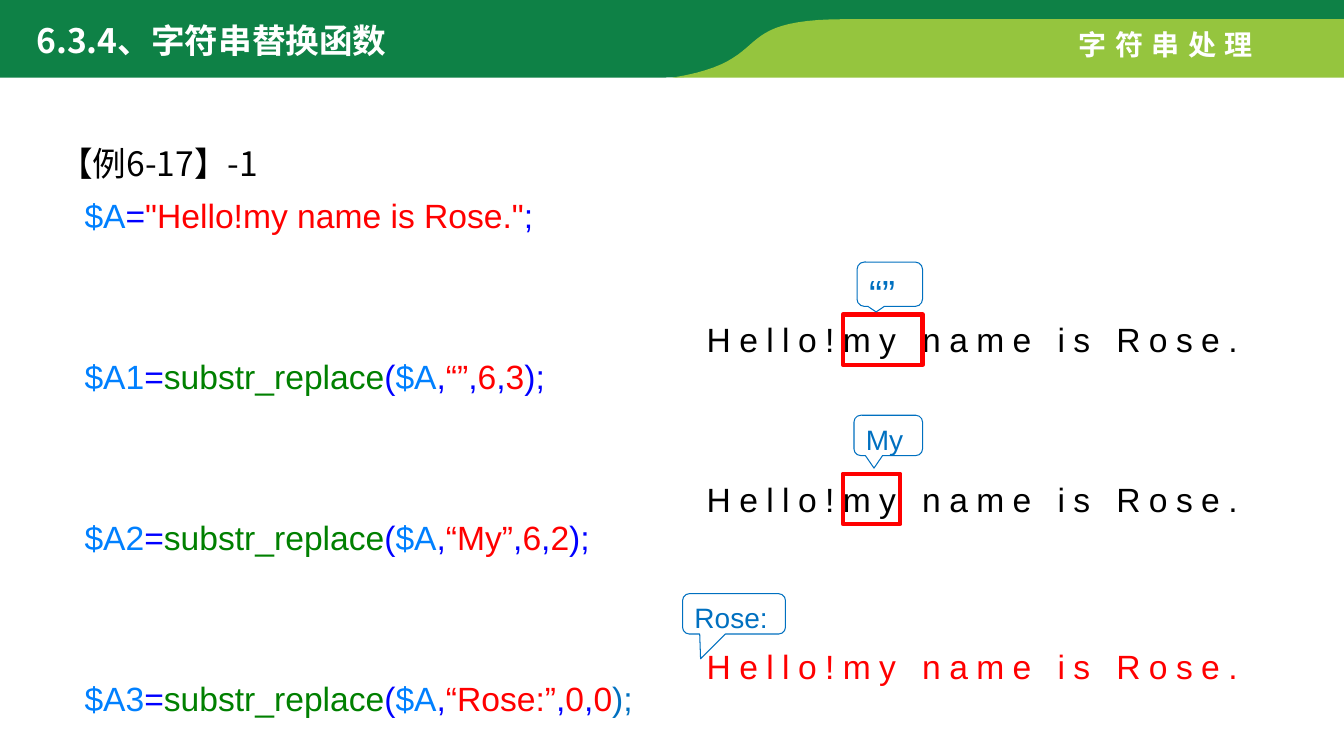
import pptx
import pptx.util
import pptx.dml.color
import pptx.enum.shapes
import pptx.enum.text
import pptx.oxml.ns
from lxml import etree

PX = 9144  # 100 px to the inch
SANS = "Arial"
HAN = "Noto Sans CJK SC"
HUES = {
    "white": "FFFFFF", "black": "000000", "dark": "0E8146", "lime": "95C53E",
    "var": "0080FF", "sign": "0000FF", "value": "FF0000", "func": "008000",
    "note": "0070C0",
}
KINDS = pptx.enum.shapes.MSO_SHAPE
ALIGN = pptx.enum.text.PP_ALIGN
LEFT, JUST = ALIGN.LEFT, ALIGN.JUSTIFY


def color(name):
    return pptx.dml.color.RGBColor.from_string(HUES[name])


def emu(*sizes):
    return [size * PX for size in sizes]


def style(run, size, hue, font=SANS, bold=False, gap=0):
    run.font.size = pptx.util.Pt(size)
    run.font.name = font
    run.font.bold = bold
    run.font.color.rgb = color(hue)
    # Letter spacing and East Asian font
    props = run._r.get_or_add_rPr()
    if gap:
        props.set("spc", str(gap * 100))
    latin = props.find(pptx.oxml.ns.qn("a:latin"))
    latin.addnext(etree.Element(pptx.oxml.ns.qn("a:ea"), typeface=HAN))


def write(shape, text, size, hue, wrap=True, align=LEFT, **looks):
    frame = shape.text_frame
    frame.text = text
    frame.word_wrap = wrap
    frame.auto_size = pptx.enum.text.MSO_AUTO_SIZE.NONE
    frame.vertical_anchor = pptx.enum.text.MSO_ANCHOR.TOP
    para = frame.paragraphs[0]
    para.alignment = align
    style(para.runs[0], size, hue, **looks)
    return para


def label(slide, box, text, size, hue, **looks):
    shape = slide.shapes.add_textbox(*emu(*box))
    return write(shape, text, size, hue, **looks)


def block(slide, kind, box, line, width, fill=None):
    shape = slide.shapes.add_shape(kind, *emu(*box))
    shape.shadow.inherit = False
    if fill:
        shape.fill.solid()
        shape.fill.fore_color.rgb = color(fill)
    else:
        shape.fill.background()
    shape.line.color.rgb = color(line)
    shape.line.width = pptx.util.Pt(width)
    return shape


def curve(start, pull, push, end, steps=24):
    """Points along a cubic curve, without its start."""
    points = []
    for step in range(1, steps + 1):
        t = step / steps
        parts = ((1 - t) ** 3, 3 * t * (1 - t) ** 2, 3 * t * t * (1 - t), t ** 3)
        points.append(tuple(
            sum(part * knot[axis] for part, knot in zip(parts, (start, pull, push, end)))
            for axis in (0, 1)))
    return points


def band(slide, points, fill):
    spots = [(x * PX, y * PX) for x, y in points]
    form = slide.shapes.build_freeform(*spots[0], scale=1.0)
    form.add_line_segments(spots[1:], close=True)
    shape = form.convert_to_shape()
    shape.shadow.inherit = False
    shape.fill.solid()
    shape.fill.fore_color.rgb = color(fill)
    shape.line.fill.background()
    return shape


def bubble(slide, box, tip, text, size):
    shape = block(slide, KINDS.ROUNDED_RECTANGULAR_CALLOUT, box, "note", 0.75)
    for index, value in enumerate((*tip, 0.167)):
        shape.adjustments[index] = value
    write(shape, text, size, "note")


def call(name, text, start, count, close="sign"):
    """Coloured parts of one substr_replace statement."""
    return [
        (name, "var"), ("=", "sign"), ("substr_replace", "func"), ("(", "sign"),
        ("$A", "var"), (",", "sign"), (f"“{text}”", "value"), (",", "sign"),
        (start, "value"), (",", "sign"), (count, "value"), (");", close),
    ]


def code(slide, box, lines):
    frame = slide.shapes.add_textbox(*emu(*box)).text_frame
    frame.word_wrap = True
    for index, parts in enumerate(lines):
        para = frame.add_paragraph() if index else frame.paragraphs[0]
        para.line_spacing = 4.0 if index else 1.0
        for text, hue in parts:
            run = para.add_run()
            run.text = text
            style(run, 24, hue)


def header(slide):
    band(slide, [(0, 0), (1333, 0), (1333, 24), (827, 24), (809, 28),
                 *curve((809, 28), (727, 44), (770, 77), (655, 77)),
                 (0, 77)], "dark")
    front = band(slide, [(839, 19), (1333, 19), (1333, 77), (667, 77),
                         *curve((667, 77), (773, 60), (717, 19), (839, 19))], "lime")
    label(slide, (1060, 22, 203, 44), "字符串处理", 20, "white",
          wrap=False, bold=True, gap=6)
    # Title sits in front of the bands
    title = slide.shapes.title
    title.left, title.top, title.width, title.height = emu(26, 15, 421, 50)
    write(title, "6.3.4、字符串替换函数", 24, "white", font=HAN, bold=True)
    front.element.addnext(title.element)


def main():
    deck = pptx.Presentation()
    deck.slide_width, deck.slide_height = emu(1333, 750)
    slide = deck.slides.add_slide(deck.slide_layouts[5])
    header(slide)

    # Example code
    para = label(slide, (49, 117, 1203, 71), "【例6-17】-1", 24, "black",
                 font=HAN, align=JUST)
    para.line_spacing = 1.5
    code(slide, (74, 188, 580, 535), [
        [("$A", "var"), ("=", "sign"),
         ('"Hello!my name is Rose."', "value"), (";", "sign")],
        call("$A1", "", "6", "3"),
        call("$A2", "My", "6", "2"),
        call("$A3", "Rose:", "0", "0", "note"),
    ])

    # Strings being changed
    for top, hue in ((311, "black"), (470, "black"), (636, "value")):
        strip = block(slide, KINDS.RECTANGLE, (691, top, 561, 50), "white", 2, "white")
        write(strip, "Hello!my name is Rose.", 24, hue, wrap=False, gap=6)

    # Replaced parts and their new text
    for top, width in ((312, 79), (470, 57)):
        block(slide, KINDS.RECTANGLE, (836, top, width, 50), "value", 3)
    bubble(slide, (850, 260, 65, 44), (-0.208, 0.625), "“”", 28)
    bubble(slide, (847, 412, 68, 40), (-0.208, 0.812), "My", 20)
    bubble(slide, (677, 589, 102, 40), (-0.325, 1.115), "Rose:", 20)

    deck.save("out.pptx")


if __name__ == "__main__":
    main()
